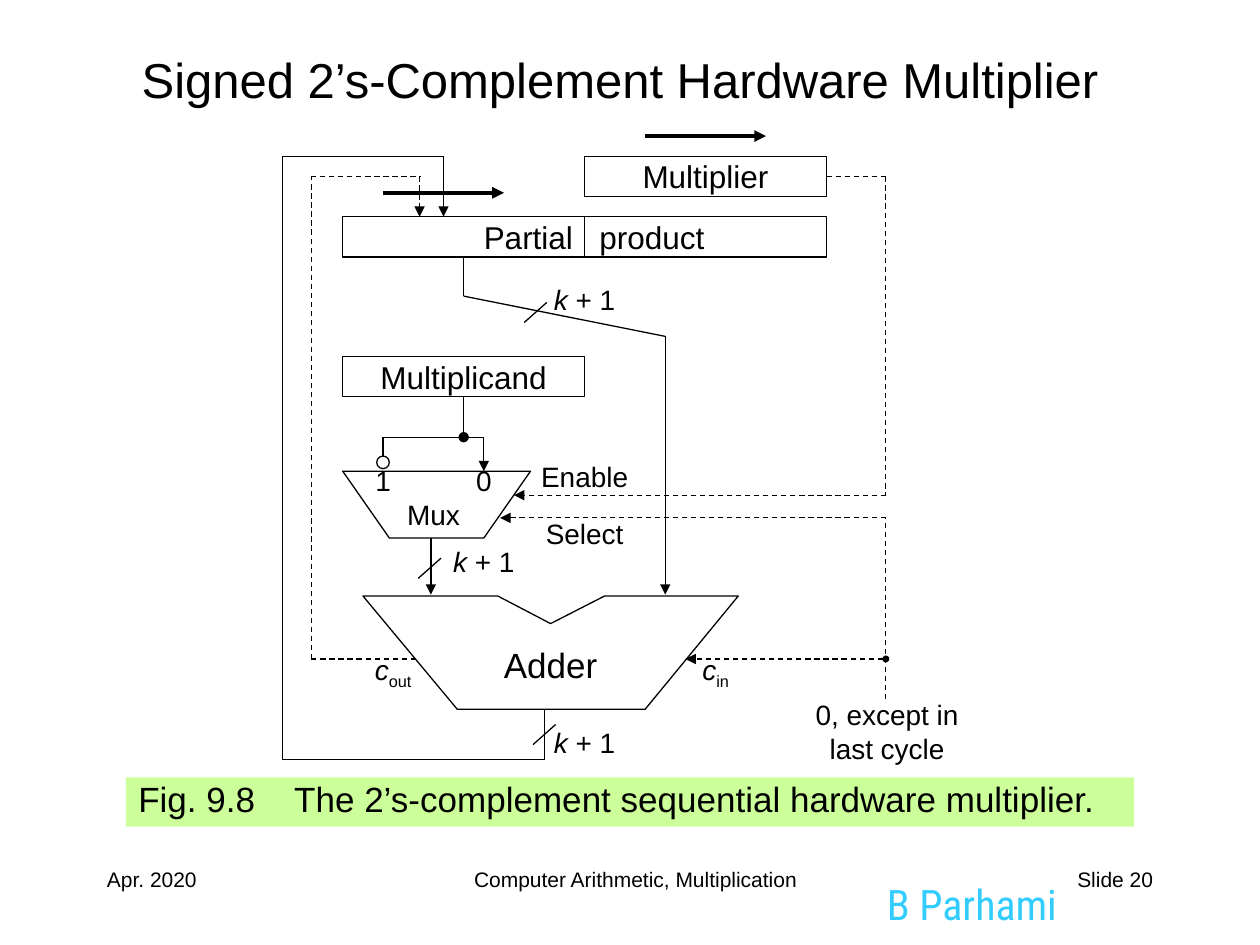
"""Build a slide on the signed 2's-complement sequential hardware multiplier."""
from dataclasses import dataclass

from lxml import etree
from pptx import Presentation
from pptx.dml.color import RGBColor
from pptx.enum.dml import MSO_LINE
from pptx.enum.shapes import MSO_CONNECTOR, MSO_SHAPE
from pptx.enum.text import MSO_ANCHOR, PP_ALIGN
from pptx.oxml.ns import qn
from pptx.util import Inches, Pt

STRAIGHT = MSO_CONNECTOR.STRAIGHT
RECTANGLE, OVAL = MSO_SHAPE.RECTANGLE, MSO_SHAPE.OVAL
LEFT, CENTER, RIGHT = PP_ALIGN.LEFT, PP_ALIGN.CENTER, PP_ALIGN.RIGHT
TOP, MIDDLE = MSO_ANCHOR.TOP, MSO_ANCHOR.MIDDLE
DASH = MSO_LINE.DASH
BOTTOM_SITE, RIGHT_SITE = 2, 3


@dataclass(frozen=True)
class Theme:
    """Colours, fonts, type sizes and line weights of the slide."""
    ink: RGBColor = RGBColor(0, 0, 0)
    paper: RGBColor = RGBColor(255, 255, 255)
    caption_fill: RGBColor = RGBColor(0xCC, 0xFF, 0x99)
    author_ink: RGBColor = RGBColor(0x33, 0xCC, 0xFF)
    font: str = "Arial"
    author_font: str = "Roboto Condensed"
    title: int = 28
    author: int = 24
    heading: int = 20
    register: int = 18
    label: int = 16
    footer: int = 12
    thin: float = 0.75
    thick: float = 2.25


THEME = Theme()
K_PLUS_1 = [("k ", {"italic": True}, {}), ("+ 1", {}, {})]


def plain(text):
    """Return one run without extra formatting."""
    return [(text, {}, {})]


def gapped(before, after, spacing):
    """Return two words with a widened space between them."""
    return [(before, {}, {}), (" ", {}, {"spc": str(spacing)}), (after, {}, {})]


def carry(subscript):
    """Return the runs of a carry signal name."""
    return [("c", {"italic": True}, {}), (subscript, {}, {"baseline": "-25000"})]


def write(shape, runs, size, align=CENTER, anchor=TOP, font=THEME.font,
          color=THEME.ink, spacing=None, top=0.05):
    """Fill a shape with one formatted paragraph."""
    frame = shape.text_frame
    layout = {"word_wrap": True, "vertical_anchor": anchor,
              "margin_left": Inches(0.1), "margin_right": Inches(0.1),
              "margin_top": Inches(top), "margin_bottom": Inches(0.05)}
    for name, value in layout.items():
        setattr(frame, name, value)
    paragraph = frame.paragraphs[0]
    paragraph.alignment = align
    paragraph.line_spacing = spacing
    for text, emphasis, extras in runs:
        run = paragraph.add_run()
        run.text = text
        run.font.color.rgb = color
        for name, value in {"name": font, "size": Pt(size), **emphasis}.items():
            setattr(run.font, name, value)
        for name, value in extras.items():
            run._r.get_or_add_rPr().set(name, value)


def add_text(slide, place, runs, size, **style):
    """Add a text box."""
    write(slide.shapes.add_textbox(*map(Inches, place)), runs, size, **style)


def paint(shape, fill, outlined=True):
    """Give a shape a flat fill and a thin outline or none."""
    shape.shadow.inherit = False
    shape.fill.solid()
    shape.fill.fore_color.rgb = fill
    if outlined:
        shape.line.color.rgb = THEME.ink
        shape.line.width = Pt(THEME.thin)
    else:
        shape.line.fill.background()
    return shape


def add_block(slide, place, kind=RECTANGLE, fill=THEME.paper, outlined=True):
    """Add a preset shape."""
    shape = slide.shapes.add_shape(kind, *map(Inches, place))
    return paint(shape, fill, outlined)


def add_outline(slide, points):
    """Add a closed polygon."""
    corners = [(Inches(x), Inches(y)) for x, y in points]
    builder = slide.shapes.build_freeform(*corners[0])
    builder.add_line_segments(corners[1:], close=True)
    return paint(builder.convert_to_shape(), THEME.paper)


def add_end(line, tag, kind, size="med"):
    """Put an arrowhead or dot on one end of a line."""
    etree.SubElement(line.line._get_or_add_ln(), qn(tag), type=kind, w=size, len=size)


def add_wire(slide, points, dash=None, weight=THEME.thin, dot=None,
             arrow=True, source=None):
    """Run straight connectors through the points."""
    last = len(points) - 2
    for index, (start, end) in enumerate(zip(points, points[1:])):
        line = slide.shapes.add_connector(STRAIGHT, *map(Inches, start + end))
        line.line.color.rgb = THEME.ink
        for name, value in {"width": Pt(weight), "dash_style": dash}.items():
            setattr(line.line, name, value)
        if dot and index == 0:
            add_end(line, "a:headEnd", "oval", dot)
        if arrow and index == last:
            add_end(line, "a:tailEnd", "triangle")
        etree.SubElement(line._element.spPr, qn("a:effectLst"))
        if source and index == 0:
            line.begin_connect(*source)


def add_frame(slide):
    """Add the title, caption and footer."""
    add_text(slide, (6.94, 6.92, 1.8, 0.5), plain("B Parhami"), THEME.author,
             align=LEFT, font=THEME.author_font, color=THEME.author_ink)
    for left, width, text, align in [
            (0.75, 2.08, "Apr. 2020", LEFT),
            (2.42, 5.25, "Computer Arithmetic, Multiplication", CENTER),
            (7.17, 2.08, "Slide 20", RIGHT)]:
        add_text(slide, (left, 6.83, width, 0.5), plain(text), THEME.footer, align=align)
    add_text(slide, (0.67, 0.25, 8.5, 0.75),
             plain("Signed 2’s-Complement Hardware Multiplier"), THEME.title, anchor=MIDDLE)
    caption = add_block(slide, (1, 6.17, 8, 0.39), fill=THEME.caption_fill, outlined=False)
    write(caption, gapped("Fig. 9.8", "The 2’s-complement sequential hardware multiplier.", 1668),
          THEME.heading, align=LEFT, spacing=0.85)


def add_datapath(slide):
    """Add the registers, mux, adder and the wires between them."""
    adder = add_outline(slide, [(2.88, 4.73), (3.95, 4.73), (4.37, 4.95), (4.8, 4.73),
                                (5.86, 4.73), (5.12, 5.63), (3.63, 5.63)])
    write(adder, plain("Adder"), THEME.heading, anchor=MIDDLE, top=0.24)
    add_outline(slide, [(2.72, 3.74), (4.21, 3.74), (3.84, 4.27), (3.09, 4.27)])
    multiplicand, upper_product, _, multiplier = [
        add_block(slide, (left, top, 1.92, 0.32))
        for left, top in [(2.72, 2.83), (2.72, 1.72), (4.64, 1.72), (4.64, 1.24)]]

    add_wire(slide, [(4.32, 5.63), (4.32, 6.03), (2.24, 6.03), (2.24, 1.24),
                     (3.52, 1.24), (3.52, 1.72)])
    add_wire(slide, [(3.3, 5.23), (2.47, 5.23), (2.47, 1.4), (3.33, 1.4), (3.33, 1.72)],
             dash=DASH)
    add_wire(slide, [(3.68, 2.04), (3.68, 2.35), (5.28, 2.67), (5.28, 4.72)],
             source=(upper_product, BOTTOM_SITE))
    add_wire(slide, [(3.68, 3.15), (3.68, 3.47), (3.84, 3.47), (3.84, 3.74)],
             source=(multiplicand, BOTTOM_SITE))
    add_wire(slide, [(3.68, 3.47), (3.04, 3.47), (3.04, 3.62)], dot="med", arrow=False)
    add_block(slide, (2.99, 3.62, 0.1, 0.1), kind=OVAL)
    add_wire(slide, [(3.42, 4.27), (3.42, 4.72)])
    add_wire(slide, [(6.56, 1.4), (7.03, 1.4), (7.03, 3.93), (4.08, 3.93)],
             dash=DASH, source=(multiplier, RIGHT_SITE))
    add_wire(slide, [(7.03, 5.55), (7.03, 4.11), (3.97, 4.11)], dash=DASH)
    add_wire(slide, [(7.03, 5.23), (5.44, 5.23)], dash=DASH, dot="sm")
    for left, top in [(3.04, 1.53), (5.12, 1.08)]:
        add_wire(slide, [(left, top), (left + 0.96, top)], weight=THEME.thick)


def add_labels(slide):
    """Add the register names, signal names and bus widths."""
    for place, runs in [
            ((3.36, 1.68, 2.71, 0.51), gapped("Partial", "product", 1000)),
            ((4.32, 1.2, 2.56, 0.52), plain("Multiplier")),
            ((2.56, 2.79, 2.24, 0.52), plain("Multiplicand"))]:
        add_text(slide, place, runs, THEME.register)
    for place, runs in [
            ((6.24, 5.49, 1.6, 0.64), plain("0, except in last cycle")),
            ((2.72, 3.63, 0.64, 0.48), plain("1")),
            ((3.52, 3.63, 0.64, 0.48), plain("0")),
            ((2.88, 3.9, 1.12, 0.51), plain("Mux")),
            ((3.84, 3.6, 1.6, 0.48), plain("Enable")),
            ((3.84, 4.05, 1.6, 0.48), plain("Select")),
            ((5.28, 5.13, 0.8, 0.48), carry("in")),
            ((2.72, 5.13, 0.8, 0.48), carry("out"))]:
        add_text(slide, place, runs, THEME.label)
    for left, top, slash_x, slash_y in [(4.16, 2.19, 4.16, 2.56), (3.36, 4.27, 3.32, 4.59),
                                        (4.16, 5.71, 4.23, 5.91)]:
        add_text(slide, (left, top, 0.96, 0.48), K_PLUS_1, THEME.label)
        add_wire(slide, [(slash_x, slash_y), (slash_x + 0.18, slash_y - 0.16)], arrow=False)


def main():
    """Build and save the slide."""
    deck = Presentation()
    deck.slide_width, deck.slide_height = Inches(10), Inches(7.5)
    slide = deck.slides.add_slide(deck.slide_layouts[6])
    for add_part in (add_frame, add_datapath, add_labels):
        add_part(slide)
    deck.save("out.pptx")


if __name__ == "__main__":
    main()
